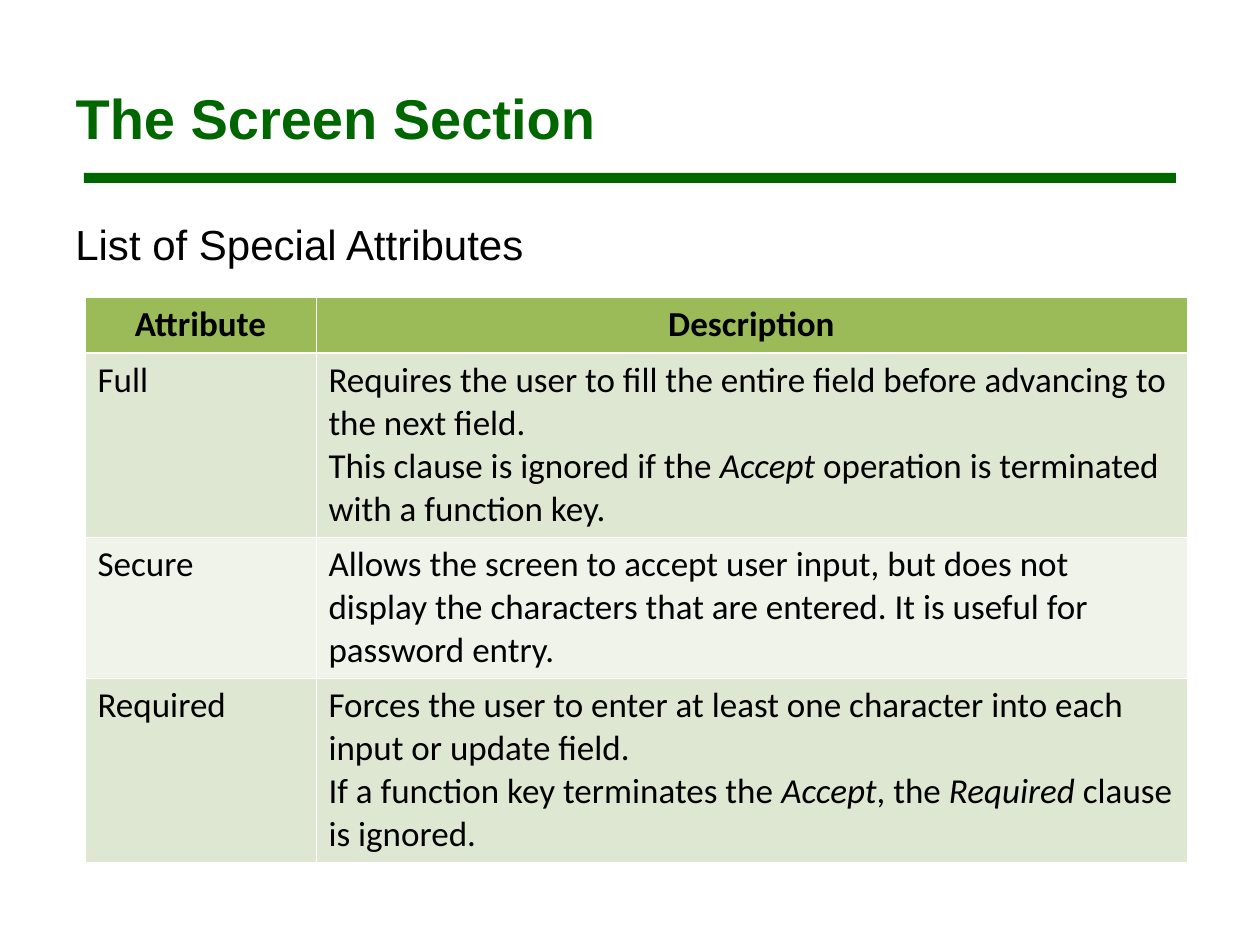
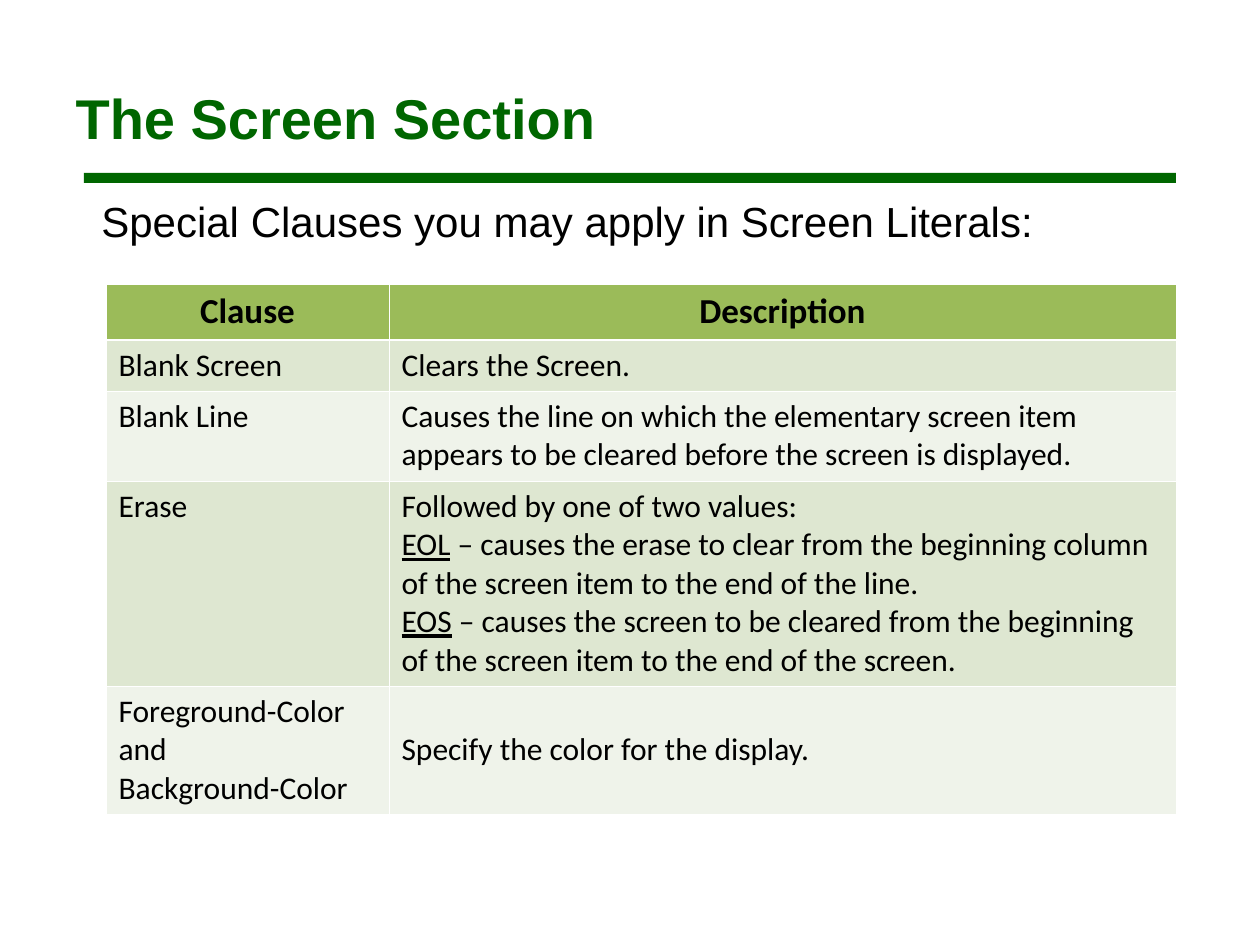
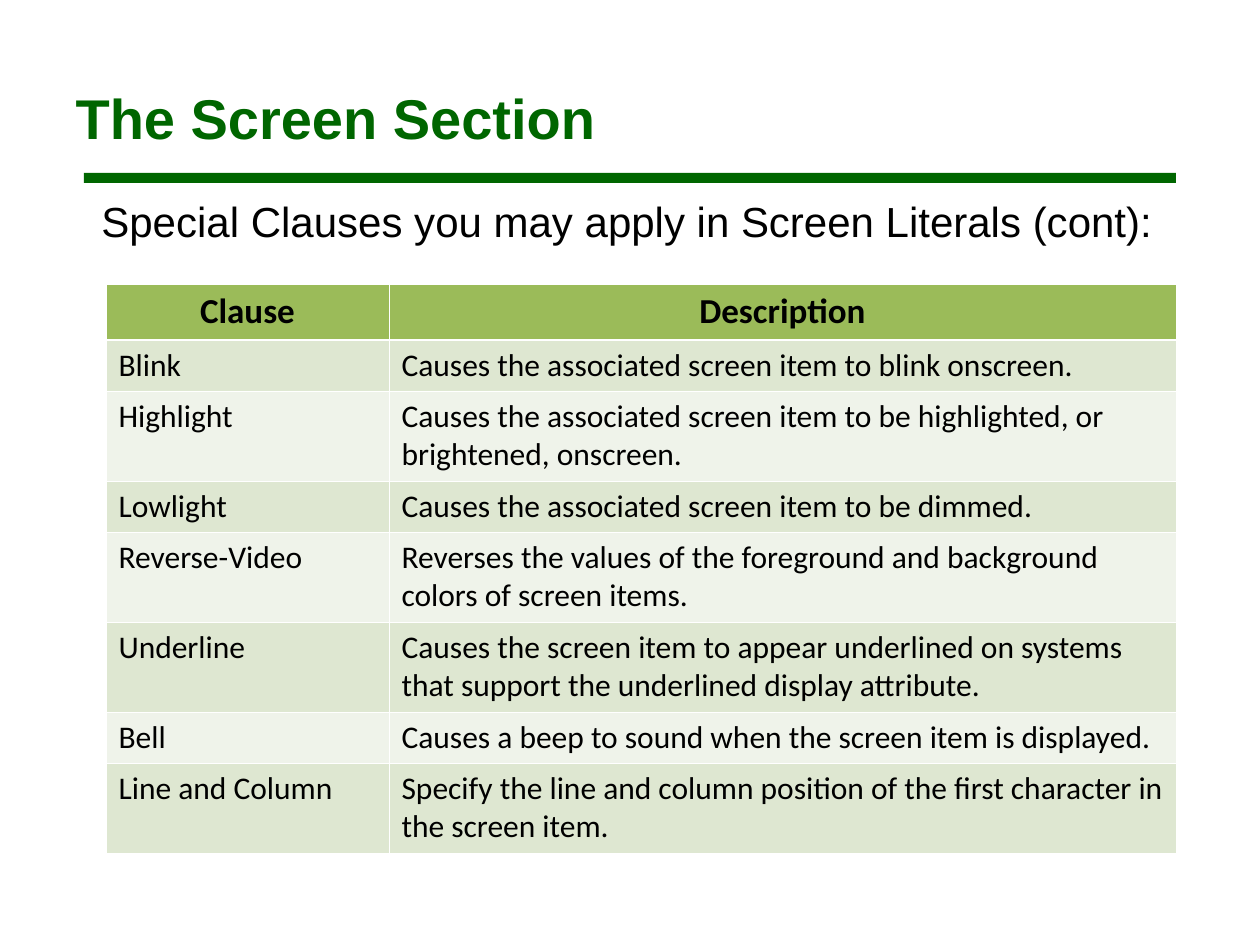
from dataclasses import dataclass

from lxml import etree
from pptx import Presentation
from pptx import util as u
from pptx.dml.color import RGBColor
from pptx.enum import shapes, text
from pptx.oxml import ns

SCALE = 914400 / 126
TITLE_ONLY = 5


def px(length):
    return u.Emu(round(length * SCALE))


@dataclass(frozen=True)
class Theme:
    accent: str = "006600"
    ink: str = "000000"
    grid: str = "FFFFFF"
    header: str = "9BBB59"
    bands: tuple = ("DEE7D1", "EFF3EA")
    heading_font: str = "Arial"
    table_font: str = "Calibri"
    title_size: int = 32
    subtitle_size: int = 24
    header_size: int = 20
    line_px_per_pt: float = 2.135
    cell_padding: int = 13
    thin: float = 0.45
    thick: float = 1.47


class Deck:
    def __init__(self, theme):
        self.theme = theme
        self.presentation = Presentation()
        self.presentation.slide_width = px(1260)
        self.presentation.slide_height = px(945)
        self.slide = None

    def style(self, paragraph, font, size, color, bold=False):
        for run in paragraph.runs:
            run.font.name = font
            run.font.size = u.Pt(size)
            run.font.bold = bold
            run.font.color.rgb = RGBColor.from_string(color)

    def add_slide(self, heading):
        layout = self.presentation.slide_layouts[TITLE_ONLY]
        self.slide = self.presentation.slides.add_slide(layout)
        self.title(heading)
        self.rule(84, 173, 1092, 10)

    def title(self, heading):
        theme = self.theme
        title = self.slide.shapes.title
        title.left, title.top, title.width, title.height = map(px, (63, 38, 1134, 158))
        frame = title.text_frame
        frame.text = heading
        frame.vertical_anchor = text.MSO_ANCHOR.MIDDLE
        frame.paragraphs[0].alignment = text.PP_ALIGN.LEFT
        self.style(frame.paragraphs[0], theme.heading_font, theme.title_size, theme.accent, True)

    def rule(self, left, top, width, height):
        rule = self.slide.shapes.add_shape(
            shapes.MSO_SHAPE.RECTANGLE, *map(px, (left, top, width, height)))
        rule.shadow.inherit = False
        rule.fill.solid()
        rule.fill.fore_color.rgb = RGBColor.from_string(self.theme.accent)
        rule.line.fill.background()

    def subtitle(self, wording, left, top, width, height, space_before=0):
        theme = self.theme
        subtitle = self.slide.shapes.add_textbox(*map(px, (left, top, width, height)))
        frame = subtitle.text_frame
        frame.word_wrap = True
        frame.text = wording
        frame.paragraphs[0].space_before = u.Pt(space_before)
        self.style(frame.paragraphs[0], theme.heading_font, theme.subtitle_size, theme.ink)

    def row_height(self, lines, size):
        return round(lines * size * self.theme.line_px_per_pt + self.theme.cell_padding)

    def table(self, left, top, columns, header, rows, size, emphasis="italic"):
        theme = self.theme
        heights = [self.row_height(1, theme.header_size)]
        heights += [self.row_height(lines, size) for lines, *_ in rows]
        grid = self.slide.shapes.add_table(
            len(heights), len(columns), px(left), px(top),
            px(sum(columns)), px(sum(heights))).table
        for column, width in zip(grid.columns, columns):
            column.width = px(width)
        for row, height in zip(grid.rows, heights):
            row.height = px(height)
        for index, wordings in enumerate([header] + [row[1:] for row in rows]):
            for column, wording in enumerate(wordings):
                self.cell(grid.cell(index, column), wording, index, size, emphasis)
        return grid

    def cell(self, cell, wording, row, size, emphasis):
        theme = self.theme
        is_header = row == 0
        self.borders(cell, row)
        cell.fill.solid()
        cell.fill.fore_color.rgb = RGBColor.from_string(
            theme.header if is_header else theme.bands[(row - 1) % 2])
        cell.text_frame.text = wording.replace("*", "")
        for paragraph, line in zip(cell.text_frame.paragraphs, wording.split("\n")):
            if "*" in line:
                paragraph.clear()
                for position, part in enumerate(line.split("*")):
                    if part:
                        run = paragraph.add_run()
                        run.text = part
                        setattr(run.font, emphasis, position % 2 == 1)
            paragraph.alignment = text.PP_ALIGN.CENTER if is_header else text.PP_ALIGN.LEFT
            self.style(paragraph, theme.table_font,
                       theme.header_size if is_header else size, theme.ink, is_header)

    def borders(self, cell, row):
        theme = self.theme
        properties = cell._tc.get_or_add_tcPr()
        thick_side = {0: "lnB", 1: "lnT"}.get(row)
        for side in ("lnL", "lnR", "lnT", "lnB"):
            width = theme.thick if side == thick_side else theme.thin
            border = etree.SubElement(properties, ns.qn(f"a:{side}"), w=str(u.Pt(width)))
            fill = etree.SubElement(border, ns.qn("a:solidFill"))
            etree.SubElement(fill, ns.qn("a:srgbClr"), val=theme.grid)


HEADING = "The Screen Section"

ATTRIBUTES = [
    (4, "Full",
     "Requires the user to fill the entire field before advancing to the next field.\n"
     "This clause is ignored if the *Accept *operation is terminated with a function key."),
    (3, "Secure",
     "Allows the screen to accept user input, but does not display the characters "
     "that are entered. It is useful for password entry."),
    (4, "Required",
     "Forces the user to enter at least one character into each input or update field.\n"
     "If a function key terminates the *Accept*, the *Required *clause is ignored."),
]

CLAUSES = [
    (1, "Blank Screen", "Clears the Screen."),
    (2, "Blank Line",
     "Causes the line on which the elementary screen item appears to be cleared "
     "before the screen is displayed."),
    (5, "Erase",
     "Followed by one of two values:\n"
     "*EOL* – causes the erase to clear from the beginning column of the screen item "
     "to the end of the line.\n"
     "*EOS* – causes the screen to be cleared from the beginning of the screen item "
     "to the end of the screen."),
    (3, "Foreground-Color and\nBackground-Color", "Specify the color for the display."),
]

MORE_CLAUSES = [
    (1, "Blink", "Causes the associated screen item to blink onscreen."),
    (2, "Highlight",
     "Causes the associated screen item to be highlighted, or brightened, onscreen."),
    (1, "Lowlight", "Causes the associated screen item to be dimmed."),
    (2, "Reverse-Video",
     "Reverses the values of the foreground and background colors of screen items."),
    (2, "Underline",
     "Causes the screen item to appear underlined on systems that support "
     "the underlined display attribute."),
    (1, "Bell", "Causes a beep to sound when the screen item is displayed."),
    (2, "Line and Column",
     "Specify the line and column position of the first character in the screen item."),
]


def add_attributes(deck):
    deck.add_slide(HEADING)
    deck.subtitle("List of Special Attributes", 63, 212, 1134, 39, space_before=6)
    deck.table(85, 297, (231, 871), ("Attribute", "Description"), ATTRIBUTES, 20)


def add_clauses(deck, subtitle, width, rows):
    deck.add_slide(HEADING)
    grid = deck.table(106, 284, (283, 787), ("Clause", "Description"), rows, 18, "underline")
    deck.subtitle(subtitle, 89, 189, width, 63)
    return grid


def main():
    deck = Deck(Theme())
    add_attributes(deck)
    clauses = add_clauses(
        deck, "Special Clauses you may apply in Screen Literals:", 960, CLAUSES)
    clauses.cell(len(CLAUSES), 1).vertical_anchor = text.MSO_ANCHOR.MIDDLE
    add_clauses(
        deck, "Special Clauses you may apply in Screen Literals (cont):", 1080, MORE_CLAUSES)
    deck.presentation.save("out.pptx")


if __name__ == "__main__":
    main()
